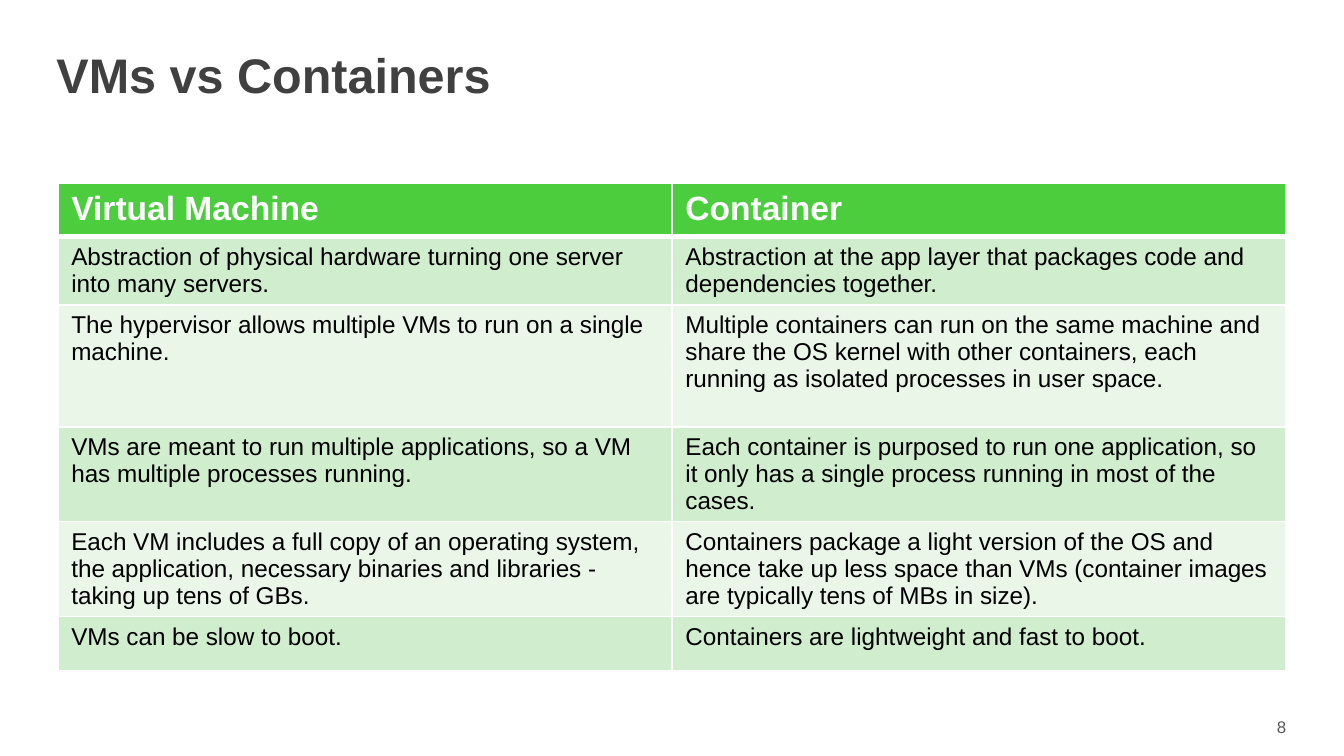
"""Build a slide with a table comparing virtual machines and containers."""
from lxml.etree import SubElement
from pptx import Presentation
from pptx.dml.color import RGBColor
from pptx.enum.text import MSO_ANCHOR, MSO_AUTO_SIZE, PP_ALIGN
from pptx.oxml.ns import qn
from pptx.util import Pt

WHITE = RGBColor(0xFF, 0xFF, 0xFF)
BLACK = RGBColor(0x00, 0x00, 0x00)
DARK_GREY = RGBColor(0x40, 0x40, 0x40)
GREY = RGBColor(0x59, 0x59, 0x59)
GREEN = RGBColor(0x4B, 0xCD, 0x3E)
LIGHT_GREEN = RGBColor(0xD0, 0xED, 0xCE)
PALE_GREEN = RGBColor(0xE9, 0xF6, 0xE8)

TITLE = {"size": Pt(26), "bold": True}
HEADER = {"size": Pt(18), "bold": True}
BODY = {"size": Pt(13), "bold": False}
NUMBER = {"size": Pt(9), "bold": False}

ROW_HEIGHTS = [28.7, 36.6, 65.4, 50.6, 50.6, 29.2]
ROWS = [
    ("Virtual Machine", "Container"),
    ("Abstraction of physical hardware turning one server into many servers.",
     "Abstraction at the app layer that packages code and dependencies together."),
    ("The hypervisor allows multiple VMs to run on a single machine.",
     "Multiple containers can run on the same machine and share the OS kernel "
     "with other containers, each running as isolated processes in user space."),
    ("VMs are meant to run multiple applications, so a VM has multiple processes running.",
     "Each container is purposed to run one application, so it only has a single "
     "process running in most of the cases."),
    ("Each VM includes a full copy of an operating system, the application, "
     "necessary binaries and libraries - taking up tens of GBs.",
     "Containers package a light version of the OS and hence take up less space "
     "than VMs (container images are typically tens of MBs in size)."),
    ("VMs can be slow to boot.", "Containers are lightweight and fast to boot."),
]


class SlideBuilder:
    def __init__(self, slide, font="Arial"):
        self.slide = slide
        self.font = font

    def add_text(self, tf, text, style, color):
        p = tf.paragraphs[0]
        r = p.add_run()
        r.text = text
        for name, value in {"name": self.font, **style}.items():
            setattr(r.font, name, value)
        r.font.color.rgb = color
        return p

    def frame(self, sp, box, anchor):
        for name, value in zip(("left", "top", "width", "height"), box):
            setattr(sp, name, Pt(value))
        tf = sp.text_frame
        settings = {"margin_left": 0, "margin_top": 0, "margin_right": 0,
                    "margin_bottom": 0, "word_wrap": True,
                    "auto_size": MSO_AUTO_SIZE.NONE, "vertical_anchor": anchor}
        for name, value in settings.items():
            setattr(tf, name, value)
        return tf

    def title(self, text, box):
        tf = self.frame(self.slide.shapes.title, box, MSO_ANCHOR.TOP)
        p = self.add_text(tf, text, TITLE, DARK_GREY)
        p.alignment = PP_ALIGN.LEFT
        p.line_spacing = 0.8

    def page_number(self, text, box):
        sp = self.slide.shapes.add_textbox(0, 0, 0, 0)
        tf = self.frame(sp, box, MSO_ANCHOR.MIDDLE)
        self.add_text(tf, text, NUMBER, GREY).alignment = PP_ALIGN.RIGHT

    def borders(self, cell, top, bottom):
        tc_pr = cell._tc.get_or_add_tcPr()
        for side, width in {"L": 1, "R": 1, "T": top, "B": bottom}.items():
            ln = SubElement(tc_pr, qn(f"a:ln{side}"), w=str(Pt(width)))
            fill = SubElement(ln, qn("a:solidFill"))
            SubElement(fill, qn("a:srgbClr"), val=str(WHITE))

    def table(self, rows, heights, left, top, width):
        shape = self.slide.shapes.add_table(
            len(rows), len(rows[0]), Pt(left), Pt(top), Pt(width), Pt(sum(heights)))
        table = shape.table
        for i, (texts, height) in enumerate(zip(rows, heights)):
            table.rows[i].height = Pt(height)
            style, color, fill = HEADER, WHITE, GREEN
            if i:
                style, color = BODY, BLACK
                fill = LIGHT_GREEN if i % 2 else PALE_GREEN
            for j, text in enumerate(texts):
                cell = table.cell(i, j)
                self.borders(cell, 3 if i == 1 else 1, 3 if i == 0 else 1)
                cell.fill.solid()
                cell.fill.fore_color.rgb = fill
                self.add_text(cell.text_frame, text, style, color)


def main():
    prs = Presentation()
    prs.slide_width, prs.slide_height = Pt(720), Pt(405)
    s = SlideBuilder(prs.slides.add_slide(prs.slide_layouts[5]))
    s.title("VMs vs Containers", (30.24, 30.24, 658, 62))
    s.page_number("8", (652.3, 383.8, 36.7, 10.8))
    s.table(ROWS, ROW_HEIGHTS, 31, 98, 658)
    prs.save("out.pptx")


if __name__ == "__main__":
    main()
